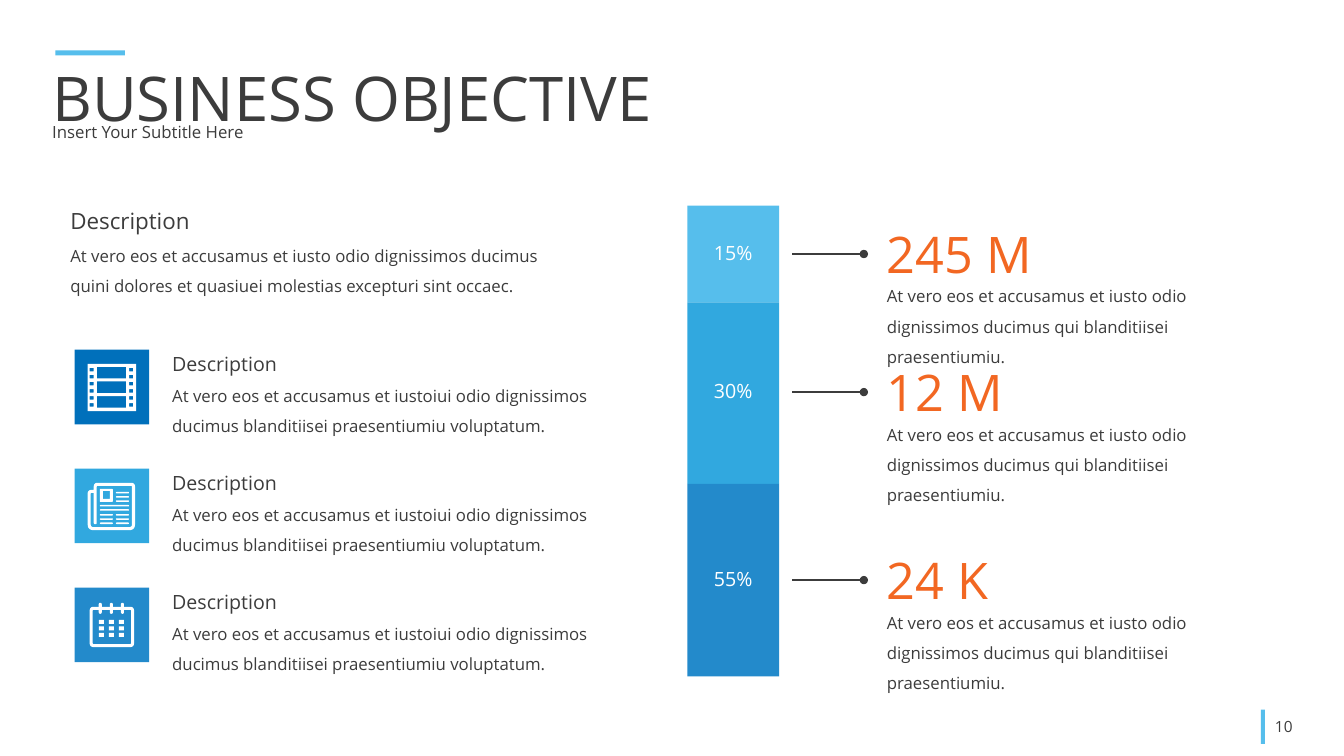
from dataclasses import dataclass
from itertools import product
from typing import Any, NamedTuple

from lxml import etree
from pptx import Presentation
from pptx import util as u
from pptx.dml.color import RGBColor
from pptx.enum import shapes, text
from pptx.oxml import ns

COLUMNS, ROWS = 133.33, 75
CELL = u.Inches(0.1)


@dataclass(frozen=True)
class Theme:
    font: str = "Open Sans"
    ink: str = "3C3C3C"
    white: str = "FFFFFF"
    accent: str = "F26722"
    sky: str = "56BEEC"
    azure: str = "31A8DF"
    blue: str = "238ACB"
    navy: str = "0070BB"
    title: float = 44
    figure: float = 36
    lead: float = 16
    heading: float = 14
    body: float = 12
    page: float = 11
    rule: float = 1


class Area(NamedTuple):
    column: float
    row: float
    columns: float
    rows: float


class Corner(NamedTuple):
    column: float
    row: float
    radius: float = 0


class Segment(NamedTuple):
    share: str
    figure: str
    top: float
    rows: float
    middle: float
    colour: str


class Topic(NamedTuple):
    colour: str
    draw_icon: Any


THEME = Theme()
RECTANGLE = shapes.MSO_SHAPE.RECTANGLE
PILL = shapes.MSO_SHAPE.ROUNDED_RECTANGLE


def grid(cells: float) -> int:
    return round(cells * CELL)


def apply_format(target: Any, values: dict[str, Any]) -> None:
    for attribute, value in values.items():
        setattr(target, attribute, value)


def paint(shape: Any, colour: str) -> None:
    shape.shadow.inherit = False
    shape.fill.solid()
    shape.fill.fore_color.rgb = RGBColor.from_string(colour)
    shape.line.fill.background()


def add_block(canvas: Any, area: Area, colour: str, kind: Any = RECTANGLE) -> None:
    block = canvas.add_shape(kind, *map(grid, area))
    paint(block, colour)
    if kind == PILL:
        block.adjustments[0] = 0.5


def add_words(canvas: Any, area: Area, words: str, size: float, colour: str = THEME.ink,
              spacing: float = 0.9, align: Any = text.PP_ALIGN.LEFT,
              anchor: Any = text.MSO_ANCHOR.TOP, grow: bool = True) -> None:
    frame = canvas.add_textbox(*map(grid, area)).text_frame
    fit = text.MSO_AUTO_SIZE.SHAPE_TO_FIT_TEXT if grow else text.MSO_AUTO_SIZE.NONE
    apply_format(frame, {"word_wrap": True, "auto_size": fit, "vertical_anchor": anchor})
    paragraph = frame.paragraphs[0]
    apply_format(paragraph, {"alignment": align, "line_spacing": spacing})
    run = paragraph.add_run()
    run.text = words
    apply_format(run.font, {"name": THEME.font, "size": u.Pt(size)})
    run.font.color.rgb = RGBColor.from_string(colour)


def add_pointer(canvas: Any, start: float, end: float, row: float) -> None:
    pointer = canvas.add_connector(shapes.MSO_CONNECTOR.STRAIGHT,
                                   *map(grid, (start, row, end, row)))
    pointer.line.width = u.Pt(THEME.rule)
    pointer.line.color.rgb = RGBColor.from_string(THEME.ink)
    etree.SubElement(pointer.line._get_or_add_ln(), ns.qn("a:tailEnd"), type="oval")
    etree.SubElement(pointer._element.spPr, ns.qn("a:effectLst"))


def box(area: Area, radius: float = 0) -> list[Corner]:
    left, top, width, height = area
    return [Corner(left, top, radius), Corner(left + width, top, radius),
            Corner(left + width, top + height, radius), Corner(left, top + height, radius)]


def toward(corner: Corner, other: Corner) -> tuple[float, float]:
    across, down = other.column - corner.column, other.row - corner.row
    share = corner.radius / (abs(across) + abs(down))
    return corner.column + across * share, corner.row + down * share


def trace(corners: list[Corner], left: float, top: float) -> list[tuple[int, int]]:
    points = []
    for index, corner in enumerate(corners):
        start = toward(corner, corners[index - 1])
        end = toward(corner, corners[(index + 1) % len(corners)])
        for step in range(7 if corner.radius else 1):
            t = step / 6
            x, y = ((1 - t) ** 2 * a + 2 * t * (1 - t) * b + t ** 2 * c
                    for a, b, c in zip(start, corner[:2], end))
            points.append((grid(left + x), grid(top + y)))
    return points


def add_outline(canvas: Any, left: float, top: float, contours: list[list[Corner]]) -> None:
    first, *holes = [trace(contour, left, top) for contour in contours]
    builder = canvas.build_freeform(*first[0])
    builder.add_line_segments(first[1:], close=True)
    for hole in holes:
        builder.move_to(*hole[0])
        builder.add_line_segments(hole[1:], close=True)
    paint(builder.convert_to_shape(), THEME.white)


def draw_film(canvas: Any, left: float, top: float) -> None:
    windows = [box(Area(2.2, 1.7 + 1.45 * n, 2.9, 1.15)) for n in range(3)]
    perforations = [box(Area(x, 1.8 + 0.7 * n, 0.4, 0.35))
                    for x, n in product((1.5, 5.4), range(6))]
    add_outline(canvas, left, top, [box(Area(1.3, 1.4, 4.8, 4.7)), *windows, *perforations])


def draw_newspaper(canvas: Any, left: float, top: float) -> None:
    paper = canvas.add_group_shape().shapes
    edge = [Corner(1.9, 1.4, 0.4), Corner(6, 1.4, 0.4), Corner(6, 6.1, 0.6),
            Corner(1.3, 6.1, 0.6), Corner(1.3, 2.1, 0.4), Corner(1.9, 2.1)]
    inside = [Corner(2.2, 1.7, 0.1), Corner(5.7, 1.7, 0.1), Corner(5.7, 5.8, 0.3),
              Corner(1.6, 5.8, 0.3), Corner(1.6, 2.4, 0.1), Corner(1.9, 2.4),
              Corner(1.9, 5.5, 0.15), Corner(2.2, 5.5, 0.15)]
    add_outline(paper, left, top, [edge, inside])
    add_outline(paper, left, top, [box(Area(2.5, 2, 1.3, 1.3), 0.1),
                                   box(Area(2.8, 2.2, 0.7, 0.8))])
    passages = [(4.1, 2.3, 1.3, 3), (2.5, 3.6, 2.9, 2), (2.5, 4.5, 1.3, 3), (4.1, 4.5, 1.3, 3)]
    for column, row, width, lines in passages:
        for line in range(lines):
            add_block(paper, Area(left + column, top + row + 0.42 * line, width, 0.15),
                      THEME.white, PILL)


def draw_calendar(canvas: Any, left: float, top: float) -> None:
    calendar = canvas.add_group_shape().shapes
    add_outline(calendar, left, top, [box(Area(1.5, 1.9, 4.4, 4), 0.4),
                                      box(Area(1.8, 2.2, 3.8, 3.4), 0.1)])
    for ring in range(3):
        add_block(calendar, Area(left + 2.4 + 1.1 * ring, top + 1.5, 0.3, 1.1), THEME.white, PILL)
    for day, week in product(range(3), range(3)):
        add_block(calendar, Area(left + 2.4 + day, top + 3.2 + 0.65 * week, 0.5, 0.4), THEME.white)


SEGMENTS = [
    Segment("15%", "245 M", 20.4, 9.6, 25.2, THEME.sky),
    Segment("30%", "12 M", 30, 18, 38.9, THEME.azure),
    Segment("55%", "24 K", 48, 19.1, 57.55, THEME.blue),
]
TOPICS = [Topic(THEME.navy, draw_film), Topic(THEME.azure, draw_newspaper),
          Topic(THEME.blue, draw_calendar)]
LEAD_BODY = ("At vero eos et accusamus et iusto odio dignissimos ducimus "
             "quini dolores et quasiuei molestias excepturi sint occaec.")
TOPIC_BODY = ("At vero eos et accusamus et iustoiui odio dignissimos "
              "ducimus blanditiisei praesentiumiu voluptatum.")
FIGURE_BODY = ("At vero eos et accusamus et iusto odio dignissimos "
               "ducimus qui blanditiisei praesentiumiu.")


def draw_heading(canvas: Any) -> None:
    add_block(canvas, Area(125.1, 70.4, 0.4, 3.4), THEME.sky)
    add_block(canvas, Area(5.5, 5, 6.9, 0.5), THEME.sky)
    add_words(canvas, Area(125.5, 70.1, 4.8, 4), "10", THEME.page, spacing=1,
              anchor=text.MSO_ANCHOR.MIDDLE, grow=False)
    add_words(canvas, Area(4.2, 5.5, 100, 8.4), "BUSINESS OBJECTIVE", THEME.title,
              anchor=text.MSO_ANCHOR.BOTTOM, grow=False)
    add_words(canvas, Area(4.2, 12, 100, 2.7), "Insert Your Subtitle Here", THEME.body,
              spacing=0.8, grow=False)
    add_words(canvas, Area(6, 22.9, 51.6, 7.1), LEAD_BODY, THEME.body, spacing=1.5)
    add_words(canvas, Area(6, 20.4, 51.6, 3.4), "Description", THEME.lead)


def draw_segment(canvas: Any, segment: Segment) -> None:
    middle = segment.middle
    add_block(canvas, Area(68.2, segment.top, 9.1, segment.rows), segment.colour)
    add_words(canvas, Area(66.9, middle - 1.55, 11.7, 3.1), segment.share, THEME.heading,
              THEME.white, align=text.PP_ALIGN.CENTER)
    add_pointer(canvas, 78.6, 85.7, middle)
    add_words(canvas, Area(87, middle + 1.7, 40.3, 7.1), FIGURE_BODY, THEME.body, spacing=1.5)
    add_words(canvas, Area(87, middle - 3.6, 23.3, 7.1), segment.figure, THEME.figure,
              THEME.accent, spacing=1)


def draw_topic(canvas: Any, topic: Topic, row: float) -> None:
    add_block(canvas, Area(7.4, row, 7.4, 7.4), topic.colour)
    add_words(canvas, Area(16.1, row + 2.1, 45.5, 6.7), TOPIC_BODY, THEME.body, spacing=1.5)
    add_words(canvas, Area(16.1, row, 23.4, 3.1), "Description", THEME.heading)
    topic.draw_icon(canvas, 7.4, row)


def main() -> None:
    deck = Presentation()
    apply_format(deck, {"slide_width": grid(COLUMNS), "slide_height": grid(ROWS)})
    canvas = deck.slides.add_slide(deck.slide_layouts[6]).shapes
    draw_heading(canvas)
    for segment in SEGMENTS:
        draw_segment(canvas, segment)
    for index, topic in enumerate(TOPICS):
        draw_topic(canvas, topic, 34.7 + 11.8 * index)
    deck.save("out.pptx")


if __name__ == "__main__":
    main()
